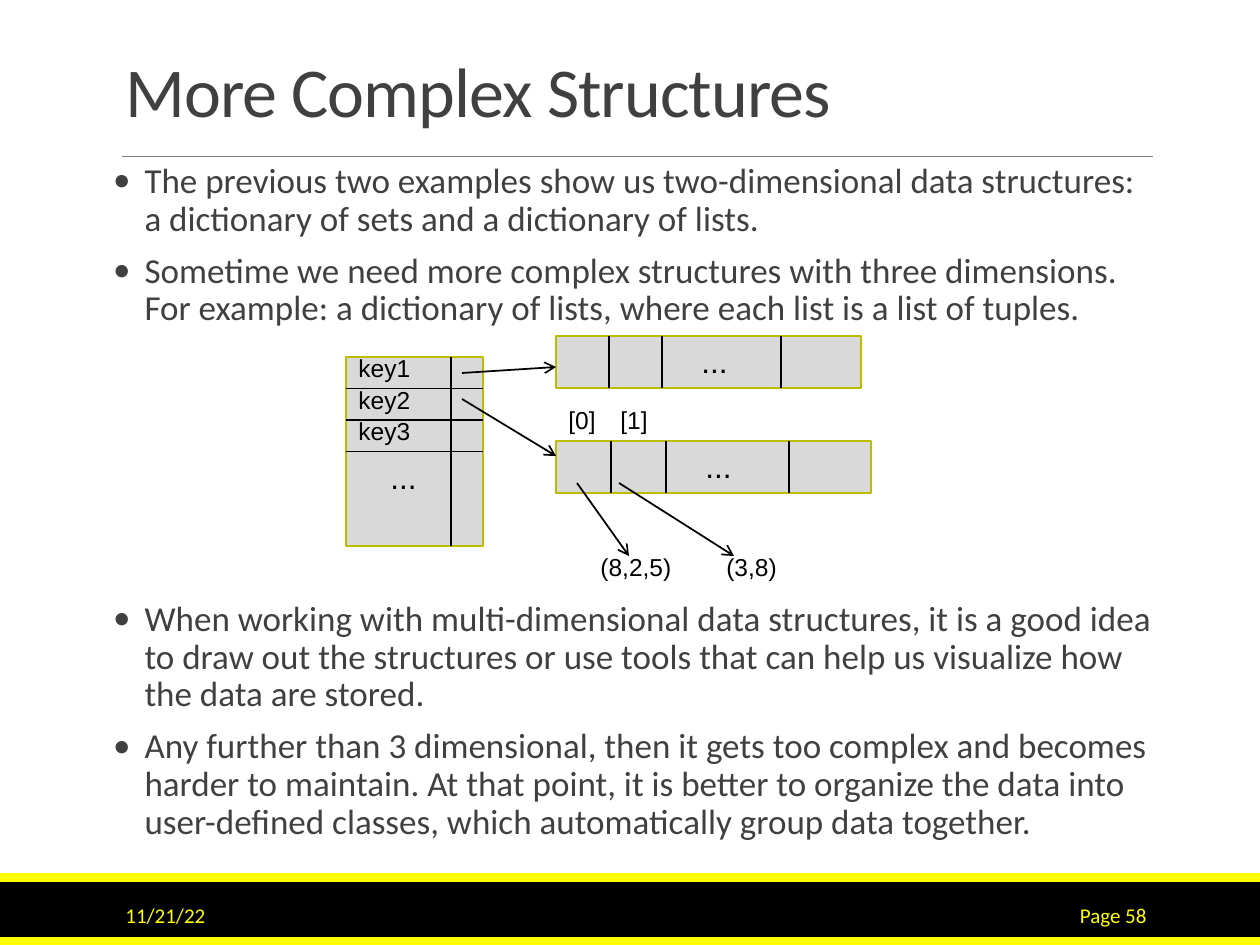
from lxml.etree import SubElement
from pptx import Presentation
from pptx.dml.color import RGBColor
from pptx.enum.shapes import MSO_CONNECTOR as CONN, MSO_SHAPE as SHAPE
from pptx.enum.text import MSO_ANCHOR as ANCHOR, PP_ALIGN as ALIGN
from pptx.oxml.ns import qn
from pptx.util import Pt

W, H = 1260, 945
GRAY, GOLD, BLACK, YELLOW, INK = "D9D9D9", "BDBD00", "000000", "FFFF00", "404040"


def px(n):
    return round(n * 914400 / 126)


def rgb(color):
    return RGBColor.from_string(color)


def rect(s, x, y, w, h, fill, line=None):
    sp = s.shapes.add_shape(SHAPE.RECTANGLE, px(x), px(y), px(w), px(h))
    sp.shadow.inherit = False
    sp.fill.solid()
    sp.fill.fore_color.rgb = rgb(fill)
    if line:
        sp.line.color.rgb = rgb(line)
        sp.line.width = Pt(1.25)
    else:
        sp.line.fill.background()


def line(s, x1, y1, x2, y2, color=BLACK, width=1, arrow=False):
    cn = s.shapes.add_connector(CONN.STRAIGHT, px(x1), px(y1), px(x2), px(y2))
    cn.line.color.rgb = rgb(color)
    cn.line.width = Pt(width)
    if arrow:
        SubElement(cn.line._get_or_add_ln(), qn("a:tailEnd"), type="arrow")
    SubElement(cn._element.spPr, qn("a:effectLst"))


def frame(s, x, y, w, h, anchor=ANCHOR.TOP, wrap=True):
    tf = s.shapes.add_textbox(px(x), px(y), px(w), px(h)).text_frame
    tf.word_wrap = wrap
    tf.vertical_anchor = anchor
    return tf


def add_run(p, text, size, color, font="Calibri"):
    r = p.add_run()
    r.text = text
    r.font.size = Pt(size)
    r.font.name = font
    r.font.color.rgb = rgb(color)
    return r


def label(s, x, y, w, h, text, size=14):
    p = frame(s, x, y, w, h, wrap=False).paragraphs[0]
    add_run(p, text, size, BLACK, "Arial")


def title(s, x, y, w, h, text):
    p = frame(s, x, y, w, h, ANCHOR.BOTTOM).paragraphs[0]
    p.line_spacing = 0.85
    r = add_run(p, text, 40, INK)
    r.font._element.set("spc", "-50")
    line(s, x + 9, y + h + 18, x + w, y + h + 18, "808080", 0.5)


def bullets(s, x, y, w, h, items):
    tf = frame(s, x, y, w, h)
    tf.margin_left = tf.margin_right = 0
    for i, text in enumerate(items):
        p = tf.add_paragraph() if i else tf.paragraphs[0]
        p.line_spacing = 0.9
        p.space_before, p.space_after = Pt(6), Pt(2)
        pr = p._p.get_or_add_pPr()
        pr.set("marL", "228600")
        pr.set("indent", "-228600")
        SubElement(pr, qn("a:buFont"), typeface="Calibri")
        SubElement(pr, qn("a:buChar"), char="•")
        add_run(p, text, 20, INK)


def key_table(s, x, y, w, h, keys, row=31.5, split=105):
    rect(s, x, y, w, h, GRAY, GOLD)
    for i, key in enumerate(keys):
        bottom = y + (i + 1) * row
        line(s, x, bottom, x + w, bottom)
        label(s, x, y - 10 + i * row, 78, 43, key)
    line(s, x + split, y, x + split, y + h)
    label(s, x + 32, y + len(keys) * row, 57, 50, "...", 18)


def list_row(s, x, y, w, h, splits, dots):
    rect(s, x, y, w, h, GRAY, GOLD)
    for dx in splits:
        line(s, x + dx, y, x + dx, y + h)
    label(s, x + dots, y, 66, 50, "...", 18)


def diagram(s, x, y):
    key_table(s, x, y + 21, 137, 189, ["key1", "key2", "key3"])
    list_row(s, x + 210, y, 305, 52, [53, 106, 225], 133)
    list_row(s, x + 210, y + 105, 315, 52, [55, 110, 233], 137)
    for x1, y1, x2, y2 in [(116, 37, 210, 31), (116, 63, 210, 120),
                           (231, 147, 283, 220), (273, 147, 388, 220)]:
        line(s, x + x1, y + y1, x + x2, y + y2, arrow=True)
    for dx, dy, w, text in [(210, 63, 53, "[0]"), (262, 63, 53, "[1]"),
                            (242, 210, 97, "(8,2,5)"), (368, 210, 76, "(3,8)")]:
        label(s, x + dx, y + dy, w, 43, text)


def footer(s, x, y, w, h, date, page):
    rect(s, x, y + 9, w, h - 9, BLACK)
    for top in (y, y + h - 8):
        rect(s, x, top, w, 9, YELLOW)
    for dx, width, text, align in [(113, 256, date, ALIGN.LEFT),
                                   (1023, 136, page, ALIGN.RIGHT)]:
        p = frame(s, x + dx, y + 17, width, 50, ANCHOR.MIDDLE).paragraphs[0]
        p.alignment = align
        add_run(p, text, 12, YELLOW)


prs = Presentation()
prs.slide_width, prs.slide_height = px(W), px(H)
s = prs.slides.add_slide(prs.slide_layouts[6])
footer(s, 0, 873, W, 72, "11/21/22", "Page 58")
title(s, 113, 39, 1040, 99, "More Complex Structures")
bullets(s, 113, 157, 1040, 176, [
    "The previous two examples show us two-dimensional data structures: "
    "a dictionary of sets and a dictionary of lists.",
    "Sometime we need more complex structures with three dimensions. "
    "For example: a dictionary of lists, where each list is a list of tuples.",
])
bullets(s, 113, 595, 1040, 265, [
    "When working with multi-dimensional data structures, it is a good idea to draw out "
    "the structures or use tools that can help us visualize how the data are stored.",
    "Any further than 3 dimensional, then it gets too complex and becomes harder to "
    "maintain. At that point, it is better to organize the data into user-defined "
    "classes, which automatically group data together.",
])
diagram(s, 346, 336)
prs.save("out.pptx")
